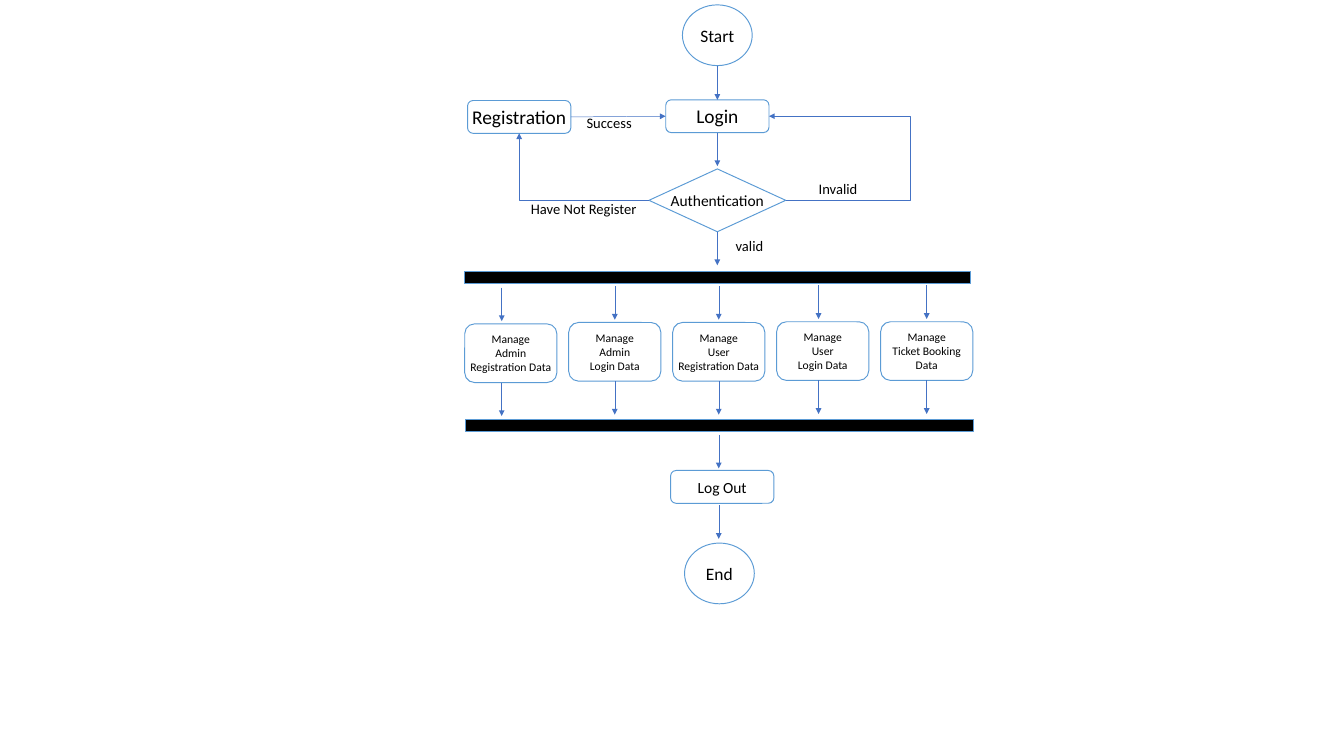
from lxml import etree
from pptx import Presentation
from pptx.dml.color import RGBColor
from pptx.enum.shapes import MSO_CONNECTOR as LINK, MSO_SHAPE as SHAPE
from pptx.enum.text import MSO_ANCHOR as ANCHOR, PP_ALIGN as ALIGN
from pptx.oxml.ns import qn
from pptx.util import Inches, Pt

COLOURS = {"paper": "FFFFFF", "ink": "000000", "outline": "5B9BD5", "arrow": "4472C4"}
TOP, LEFT, BOTTOM, RIGHT = range(4)
ARROW_LENGTH = 0.48

# Text, top within the band, and shift of the arrows from the middle of the task
TASKS = [
    ("Manage\nAdmin\nRegistration Data", 0.75, -0.13),
    ("Manage\nAdmin\nLogin Data", 0.73, 0),
    ("Manage\nUser\nRegistration Data", 0.73, 0),
    ("Manage\nUser\nLogin Data", 0.72, -0.06),
    ("Manage\nTicket Booking\nData", 0.72, 0),
]


def colour(name):
    return RGBColor.from_string(COLOURS[name])


def write(shape, text, size=16, anchor=ANCHOR.MIDDLE):
    frame = shape.text_frame
    frame.text = text
    frame.word_wrap = False
    frame.vertical_anchor = anchor
    for paragraph in frame.paragraphs:
        paragraph.alignment = ALIGN.CENTER
        paragraph.font.size = Pt(size)
        paragraph.font.name = "Calibri"
        paragraph.font.color.rgb = colour("ink")


def add_node(slide, kind, box, text="", size=16, fill="paper"):
    node = slide.shapes.add_shape(kind, *map(Inches, box))
    node.shadow.inherit = False
    node.fill.solid()
    node.fill.fore_color.rgb = colour(fill)
    node.line.color.rgb = colour("outline")
    node.line.width = Pt(1)
    if text:
        write(node, text, size)
    return node


def add_label(slide, text, box):
    write(slide.shapes.add_textbox(*map(Inches, box)), text, 15, ANCHOR.TOP)


def add_arrow(slide, start, end, kind=LINK.STRAIGHT, begin=None, finish=None):
    """Draw an arrow; begin and finish are (node, side) pairs to join it to."""
    arrow = slide.shapes.add_connector(kind, *map(Inches, (*start, *end)))
    if begin:
        arrow.begin_connect(*begin)
    if finish:
        arrow.end_connect(*finish)
    arrow.line.color.rgb = colour("arrow")
    arrow.line.width = Pt(0.5)
    etree.SubElement(arrow.line._get_or_add_ln(), qn("a:tailEnd"), type="triangle")
    etree.SubElement(arrow._element.spPr, qn("a:effectLst"))
    return arrow


def add_down_arrow(slide, x, y, **joins):
    return add_arrow(slide, (x, y), (x, y + ARROW_LENGTH), **joins)


def bend(arrow, preset, turn_x=None):
    """Choose the elbow's preset and, if given, the x of its middle leg."""
    geometry = arrow._element.spPr.find(qn("a:prstGeom"))
    geometry.set("prst", preset)
    if turn_x is not None:
        share = (Inches(turn_x) - arrow.begin_x) / (arrow.end_x - arrow.begin_x)
        guides = geometry.find(qn("a:avLst"))
        if guides is None:
            guides = etree.SubElement(geometry, qn("a:avLst"))
        etree.SubElement(guides, qn("a:gd"), name="adj1", fmla=f"val {round(share * 100000)}")


def draw_sign_in(slide, left, top):
    middle = left + 3.62
    start = add_node(slide, SHAPE.OVAL, (middle - 0.5, top, 1, 0.87), "Start", 18)
    login = add_node(slide, SHAPE.ROUNDED_RECTANGLE,
                     (middle - 0.74, top + 1.36, 1.48, 0.47), "Login", 20)
    authentication = add_node(slide, SHAPE.DIAMOND,
                              (middle - 0.98, top + 2.35, 1.96, 0.9), "Authentication")
    registration = add_node(slide, SHAPE.ROUNDED_RECTANGLE,
                            (left + 0.04, top + 1.37, 1.48, 0.47), "Registration", 20)

    add_down_arrow(slide, middle, top + 0.87, begin=(start, BOTTOM), finish=(login, TOP))
    add_down_arrow(slide, middle, top + 1.83, begin=(login, BOTTOM))
    add_down_arrow(slide, middle, top + 3.25, begin=(authentication, BOTTOM))
    add_arrow(slide, (left + 1.52, top + 1.61), (middle - 0.74, top + 1.59),
              begin=(registration, RIGHT), finish=(login, LEFT))
    unregistered = add_arrow(slide, (middle - 0.98, top + 2.8), (left + 0.78, top + 1.84),
                             LINK.ELBOW, (authentication, LEFT), (registration, BOTTOM))
    bend(unregistered, "bentConnector2")
    retry = add_arrow(slide, (middle + 0.98, top + 2.8), (middle + 0.74, top + 1.59),
                      LINK.ELBOW, (authentication, RIGHT), (login, RIGHT))
    bend(retry, "bentConnector3", left + 6.38)

    add_label(slide, "Success", (left + 1.64, top + 1.52, 0.86, 0.35))
    add_label(slide, "Have Not Register", (left + 0.84, top + 2.74, 1.73, 0.35))
    add_label(slide, "Invalid", (left + 4.97, top + 2.46, 0.76, 0.35))
    add_label(slide, "valid", (left + 3.78, top + 3.27, 0.6, 0.35))


def draw_tasks(slide, left, top):
    """Draw the parallel tasks between their fork and join bars."""
    width, height, pitch = 1.32, 0.84, 1.49
    add_node(slide, SHAPE.RECTANGLE, (left, top, 7.25, 0.17), fill="ink")
    add_node(slide, SHAPE.RECTANGLE, (left + 0.01, top + 2.12, 7.28, 0.17), fill="ink")
    for column, (text, drop, shift) in enumerate(TASKS):
        x, y = left + column * pitch, top + drop
        task = add_node(slide, SHAPE.ROUNDED_RECTANGLE, (x, y, width, height), text, 12)
        arrow_x = x + width / 2 + shift
        add_down_arrow(slide, arrow_x, y - 0.52)
        add_down_arrow(slide, arrow_x, y + height,
                       begin=None if shift else (task, BOTTOM))


def draw_sign_out(slide, left, top):
    middle = left + 3.64
    add_down_arrow(slide, middle, top)
    add_node(slide, SHAPE.ROUNDED_RECTANGLE,
             (left + 2.95, top + 0.51, 1.48, 0.47), "Log Out")
    add_down_arrow(slide, middle, top + 1.01)
    add_node(slide, SHAPE.OVAL, (left + 3.15, top + 1.55, 1, 0.87), "End", 18)


def main():
    deck = Presentation()
    deck.slide_width, deck.slide_height = Inches(19.26), Inches(10.83)
    slide = deck.slides.add_slide(deck.slide_layouts[6])
    left = 6.66
    draw_sign_in(slide, left, 0.07)
    draw_tasks(slide, left, 3.89)
    draw_sign_out(slide, left, 6.23)
    deck.save("out.pptx")


if __name__ == "__main__":
    main()
